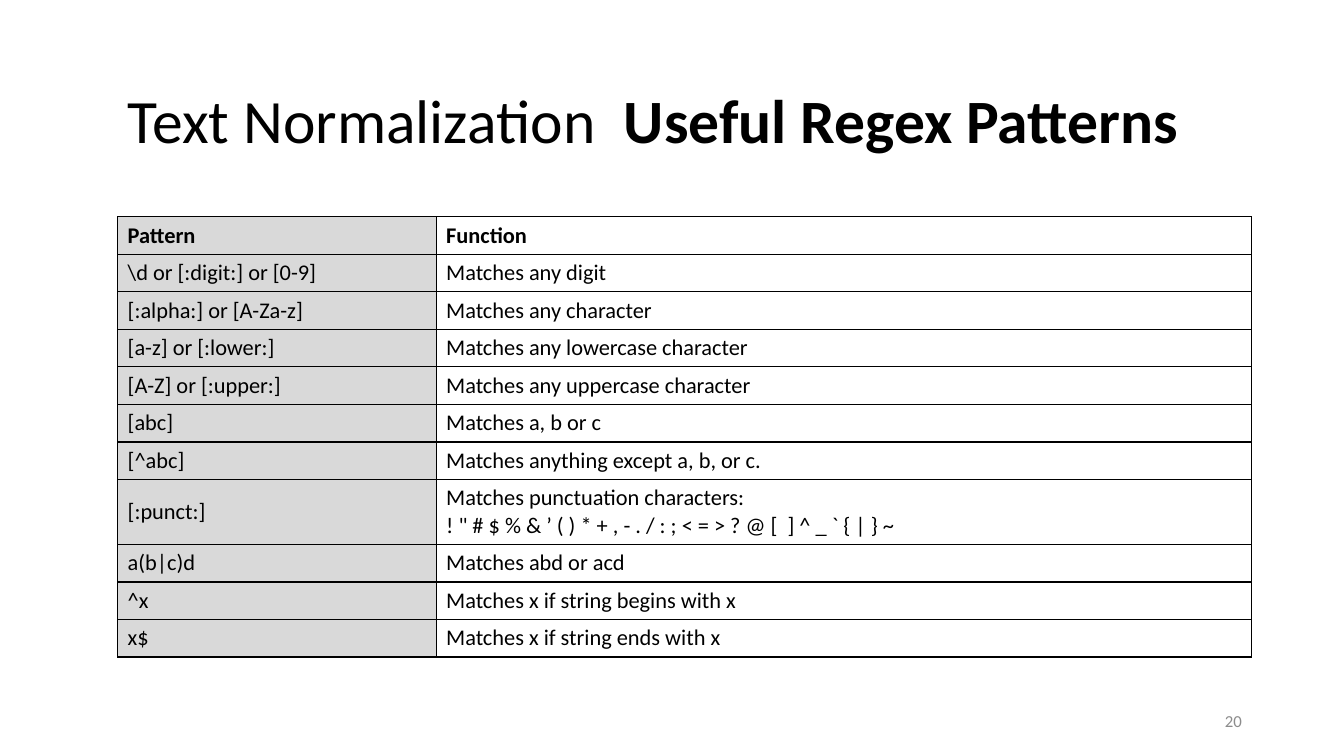
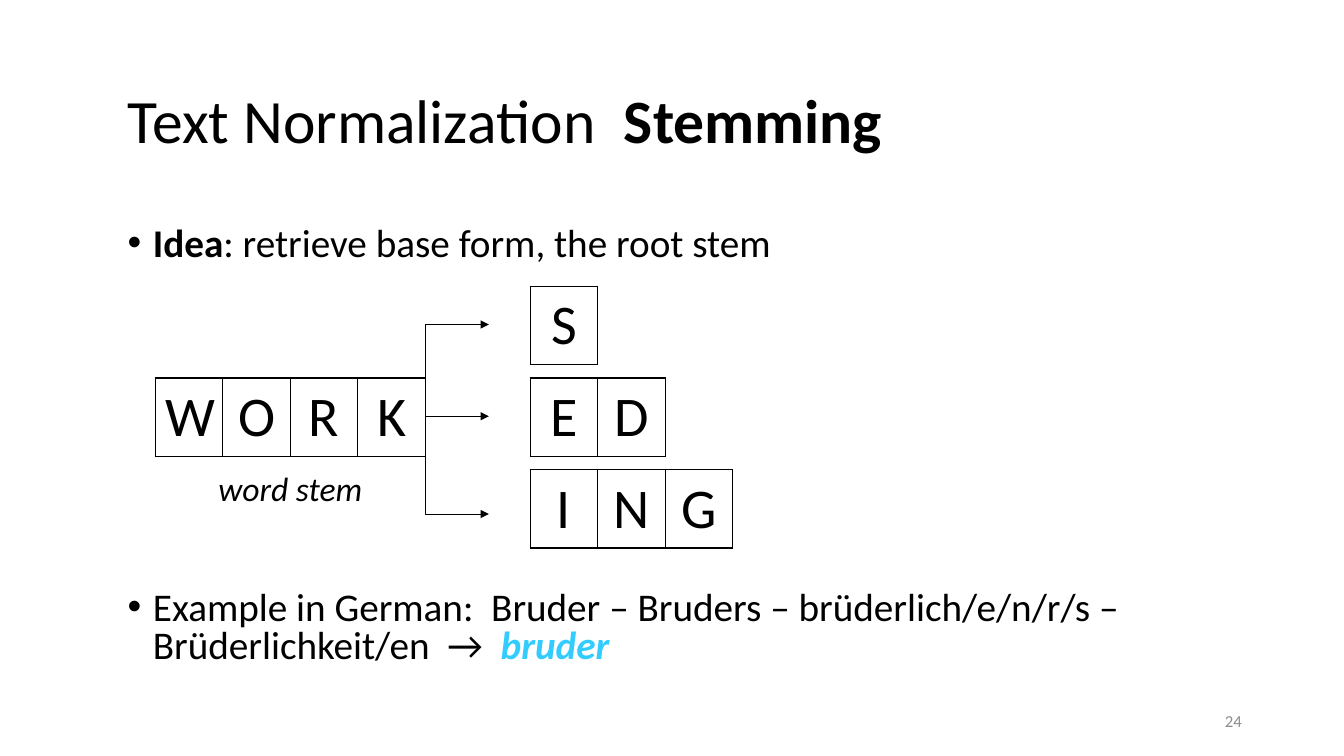
from dataclasses import dataclass

from lxml import etree
from pptx import Presentation
from pptx.dml.color import RGBColor
from pptx.enum import shapes, text
from pptx.oxml.ns import qn
from pptx.util import Emu, Inches, Pt


@dataclass(frozen=True)
class Theme:
    font: str = "Calibri"
    ink: str = "000000"
    muted: str = "8C8C8C"
    accent: str = "33CCFF"
    shade: str = "D9D9D9"
    title: int = 44
    letter: int = 40
    body: int = 28
    caption: int = 24
    table: int = 16
    number: int = 12
    border: float = 1
    arrow: float = 0.5


THEME = Theme()
COLUMNS, ROWS = 40, 30
WIDTH, HEIGHT = Inches(13.33), Inches(7.5)
LEFT, CONTENT_WIDTH = 3.5, 33.75
ALIGN, ANCHOR = text.PP_ALIGN, text.MSO_ANCHOR

PATTERNS = [
    ("Pattern", "Function"),
    (r"\d or [:digit:] or [0-9]", "Matches any digit"),
    ("[:alpha:] or [A-Za-z]", "Matches any character"),
    ("[a-z] or [:lower:]", "Matches any lowercase character"),
    ("[A-Z] or [:upper:]", "Matches any uppercase character"),
    ("[abc]", "Matches a, b or c"),
    ("[^abc]", "Matches anything except a, b, or c."),
    ("[:punct:]", "Matches punctuation characters:\n"
     "! \" # $ % & ’ ( ) * + , - . / : ; < = > ? @ [  ] ^ _ ` { | } ~"),
    ("a(b|c)d", "Matches abd or acd"),
    ("^x", "Matches x if string begins with x"),
    ("x$", "Matches x if string ends with x"),
]


def across(columns):
    return Emu(round(WIDTH * columns / COLUMNS))


def down(rows):
    return Emu(round(HEIGHT * rows / ROWS))


def box(left, top, width, height):
    return across(left), down(top), across(width), down(height)


def write(paragraph, *runs, size, color=THEME.ink, align=ALIGN.LEFT,
          bold=False, italic=False, line=None, before=0):
    paragraph.alignment = align
    paragraph.space_before = Pt(before)
    if line:
        paragraph.line_spacing = line
    for wording in runs:
        words, own = wording if isinstance(wording, tuple) else (wording, {})
        for index, part in enumerate(words.split("\n")):
            if index:
                paragraph.add_line_break()
            run = paragraph.add_run()
            run.text = part
            font = run.font
            font.name, font.size = THEME.font, Pt(size)
            font.bold = own.get("bold", bold)
            font.italic = own.get("italic", italic)
            font.color.rgb = RGBColor.from_string(own.get("color", color))


def border(cell):
    properties = cell._tc.get_or_add_tcPr()
    for side in ("a:lnL", "a:lnR", "a:lnT", "a:lnB"):
        edge = etree.SubElement(properties, qn(side), w=str(Pt(THEME.border)))
        fill = etree.SubElement(edge, qn("a:solidFill"))
        etree.SubElement(fill, qn("a:srgbClr"), val=THEME.ink)


class Deck:
    def __init__(self):
        self.file = Presentation()
        self.file.slide_width, self.file.slide_height = WIDTH, HEIGHT
        self.slide = None

    def place(self, holder, left, top, width, height, anchor):
        holder.left, holder.top, holder.width, holder.height = box(left, top, width, height)
        frame = holder.text_frame
        frame.word_wrap = True
        frame.auto_size = text.MSO_AUTO_SIZE.NONE
        frame.vertical_anchor = anchor
        return frame

    def start(self, topic, number, layout):
        self.slide = self.file.slides.add_slide(self.file.slide_layouts[layout])
        heading = self.place(self.slide.shapes.title, LEFT, 2.44, CONTENT_WIDTH, 4.92, ANCHOR.MIDDLE)
        write(heading.paragraphs[0], "Text Normalization  ", (topic, {"bold": True}),
              size=THEME.title, line=0.9)
        self.label(str(number), 28.26, 27.8, 9, 1.6, size=THEME.number,
                   color=THEME.muted, align=ALIGN.RIGHT, anchor=ANCHOR.MIDDLE)

    def label(self, words, left, top, width, height, anchor=ANCHOR.TOP, **style):
        holder = self.slide.shapes.add_textbox(*box(left, top, width, height))
        frame = self.place(holder, left, top, width, height, anchor)
        write(frame.paragraphs[0], words, **style)

    def bullets(self, items, top, height):
        frame = self.place(self.slide.placeholders[1], LEFT, top, CONTENT_WIDTH, height, ANCHOR.TOP)
        for index, (before, runs) in enumerate(items):
            point = frame.paragraphs[0] if index == 0 else frame.add_paragraph()
            write(point, *runs, size=THEME.body, line=0.8, before=before)
            properties = point._p.get_or_add_pPr()
            properties.set("marL", str(Inches(0.25)))
            properties.set("indent", str(-Inches(0.25)))
            etree.SubElement(properties, qn("a:buChar"), char="•")

    def table(self, rows, left, top, widths, heights, anchor=ANCHOR.TOP,
              header=False, shaded=False, **style):
        grid = self.slide.shapes.add_table(
            len(rows), len(widths), *box(left, top, sum(widths), sum(heights))).table
        grid.first_row = grid.horz_banding = False
        for column, width in zip(grid.columns, widths):
            column.width = across(width)
        for r, (entries, height) in enumerate(zip(rows, heights)):
            grid.rows[r].height = down(height)
            for c, words in enumerate(entries):
                cell = grid.cell(r, c)
                border(cell)
                if shaded and c == 0:
                    cell.fill.solid()
                    cell.fill.fore_color.rgb = RGBColor.from_string(THEME.shade)
                else:
                    cell.fill.background()
                cell.vertical_anchor = anchor
                write(cell.text_frame.paragraphs[0], words, bold=header and r == 0, **style)

    def letters(self, word, left, top, width, height):
        self.table([word], left, top, [width] * len(word), [height],
                   size=THEME.letter, align=ALIGN.CENTER)

    def arrow(self, left, top, right, bottom):
        kind = shapes.MSO_CONNECTOR
        bent = top != bottom
        branch = self.slide.shapes.add_connector(
            kind.ELBOW if bent else kind.STRAIGHT,
            across(left), down(top), across(right), down(bottom))
        branch.line.width = Pt(THEME.arrow)
        branch.line.color.rgb = RGBColor.from_string(THEME.ink)
        etree.SubElement(branch.line._get_or_add_ln(), qn("a:tailEnd"), type="triangle")
        properties = branch._element.spPr
        etree.SubElement(properties, qn("a:effectLst"))
        if bent:
            guides = properties.find(qn("a:prstGeom")).find(qn("a:avLst"))
            etree.SubElement(guides, qn("a:gd"), name="adj1", fmla="val 0")


def regex_slide(deck):
    deck.start("Useful Regex Patterns", 20, layout=5)
    heights = [2.57 if "\n" in function else 1.49 for _, function in PATTERNS]
    deck.table(PATTERNS, LEFT, 8.6, [9.48, 24.27], heights, anchor=ANCHOR.MIDDLE,
               header=True, shaded=True, size=THEME.table)


def stemming_slide(deck):
    deck.start("Stemming", 24, layout=1)
    deck.bullets([
        (10, [("Idea", {"bold": True}), ": retrieve base form, the root stem"]),
        (233, ["Example in German:  Bruder – Bruders – brüderlich/e/n/r/s – "
               "Brüderlichkeit/en  →  ",
               ("bruder", {"bold": True, "italic": True, "color": THEME.accent})]),
    ], 8.84, 18.36)
    letter_width, letter_height, step = 2.01, 3.08, 3.64
    stem, stem_left, ending_left, first_top = "WORK", 4.62, 15.78, 11.36
    stem_width = len(stem) * letter_width
    fork = stem_left + stem_width
    deck.letters(stem, stem_left, first_top + step, letter_width, letter_height)
    for index, ending in enumerate(("S", "ED", "ING")):
        deck.letters(ending, ending_left, first_top + index * step, letter_width, letter_height)
    for start, end in ((15.2, 20.4), (16.44, 12.88), (16.52, 16.52)):
        deck.arrow(fork, start, 14.55, end)
    deck.label("word stem", stem_left, 18.36, stem_width, 2, size=THEME.caption,
               italic=True, align=ALIGN.CENTER)


def main():
    deck = Deck()
    regex_slide(deck)
    stemming_slide(deck)
    deck.file.save("out.pptx")


if __name__ == "__main__":
    main()
